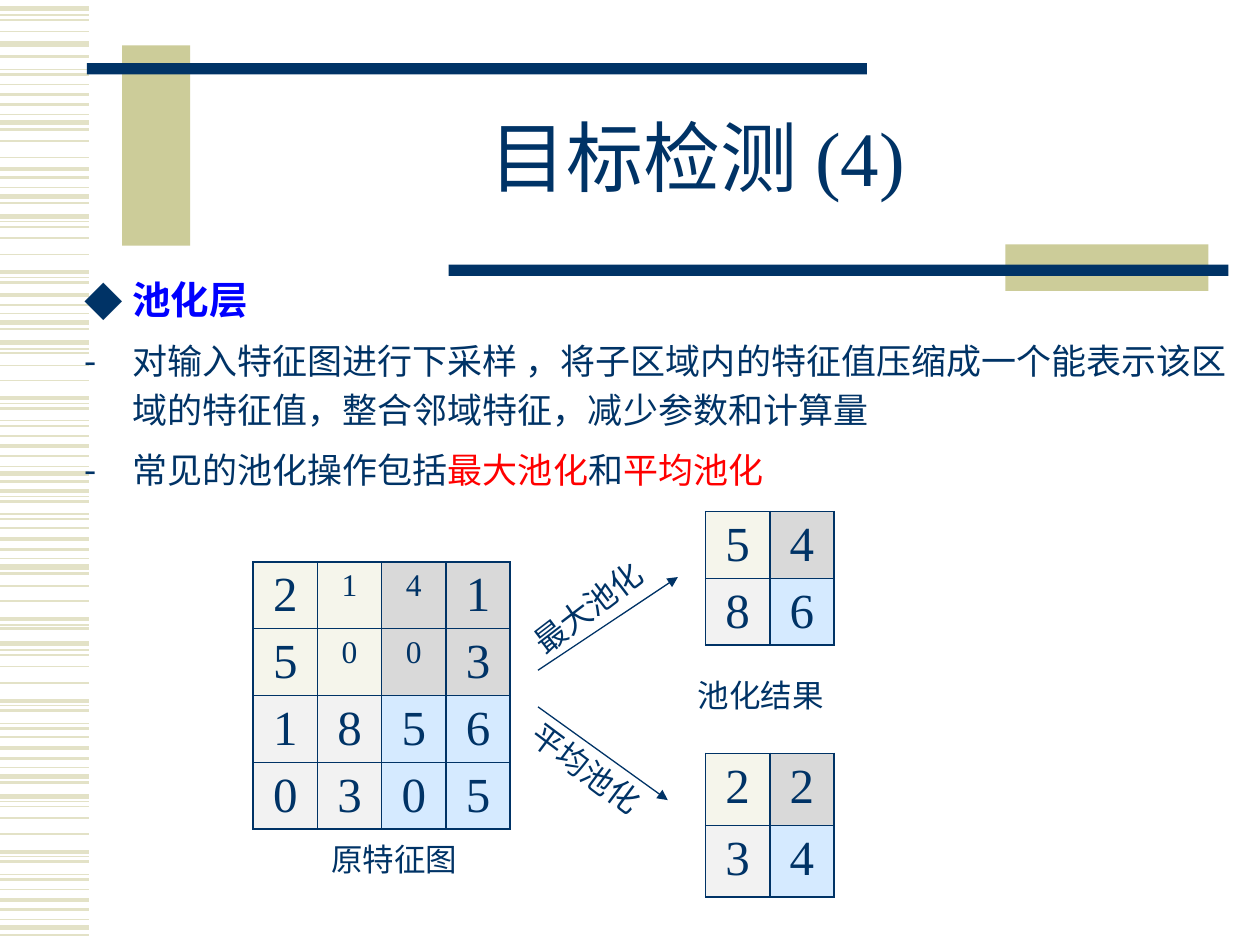
"""Build the slide on pooling layers in object detection."""
from typing import NamedTuple

from lxml.etree import SubElement as sub
from pptx import Presentation as Deck
from pptx.dml.color import RGBColor as Rgb
from pptx.enum.shapes import MSO_CONNECTOR as Link, MSO_SHAPE as Kind
from pptx.enum.text import MSO_ANCHOR as Anchor, PP_ALIGN as Align
from pptx.oxml.ns import qn
from pptx.util import Emu, Pt

UNIT = 9144
SERIF = "Times New Roman"
SANS = "Noto Sans CJK SC"
HUES = {
    "navy": "003366", "sand": "CCCC99", "stripe": "E3E2C7",
    "blue": "0000FF", "red": "FF0000",
    "cream": "F5F5EB", "gray": "D9D9D9", "pale": "F2F2F2", "sky": "D5EAFF",
}
BLOCKS = (("cream", "gray"), ("pale", "sky"))
STRIPES = {
    0.75: (12, 55, 91, 149, 176, 220, 249, 277, 320, 334, 370, 394, 408, 443,
           496, 516, 560, 574, 609, 636, 680, 694, 730),
    1: (16, 25, 67, 112, 125, 180, 189, 202, 280, 290, 302, 346, 419, 465,
        477, 520, 529, 542, 585, 640, 649, 662, 706),
    1.5: (45, 59, 83, 103, 141, 161, 224, 242, 261, 324, 338, 362, 382, 398,
          412, 436, 455, 499, 564, 578, 602, 621, 684, 698, 722, 742),
    2.25: (75, 134, 216, 234, 316, 354, 390, 428, 491, 556, 594, 676, 714),
    3: (7, 35, 97, 156, 172, 256, 272, 376, 450, 511, 616, 632, 736),
}


class Box(NamedTuple):
    x: int
    y: int
    w: int
    h: int


class Bar(NamedTuple):
    box: Box
    hue: str


class Run(NamedTuple):
    text: str
    size: int
    hue: str = "navy"
    font: str = SERIF
    bold: bool = False


class Item(NamedTuple):
    mark: str
    face: str
    runs: tuple
    lead: float | Pt
    gap: int


class Label(NamedTuple):
    text: str
    box: Box
    turn: float = 0


class Arrow(NamedTuple):
    start: tuple
    end: tuple


class Grid(NamedTuple):
    x: int
    y: int
    row: int
    data: tuple
    small: tuple = ()


BARS = (
    Bar(Box(97, 36, 54, 159), "sand"), Bar(Box(69, 50, 619, 9), "navy"),
    Bar(Box(798, 194, 161, 37), "sand"), Bar(Box(356, 210, 619, 9), "navy"),
)
ITEMS = (
    Item("◆", SANS, (Run("池化层", 22, "blue", bold=True),), 0.9, 0),
    Item("-", SERIF, (Run("对输入特征图进行下采样 ，将子区域内的特征值压缩成一个能表示该区域的"
                          "特征值，整合邻域特征，减少参数和计算量", 20, font=SANS),), Pt(28), 6),
    Item("-", SERIF, (Run("常见的池化操作包括", 20, font=SANS),
                      Run("最大池化", 20, "red", SANS),
                      Run("和", 20, font=SANS),
                      Run("平均池化", 20, "red", SANS)), Pt(28), 6),
)
GRIDS = (
    Grid(201, 446, 53, ("2141", "5003", "1856", "0305"),
         ((0, 1), (0, 2), (1, 1), (1, 2))),
    Grid(560, 406, 53, ("54", "86")),
    Grid(560, 598, 57, ("22", "34")),
)
ARROWS = (Arrow((427, 532), (538, 458)), Arrow((427, 561), (530, 635)))
LABELS = (
    Label("最大池化", Box(404, 455, 144, 40), 322.6),
    Label("平均池化", Box(403, 597, 144, 40), 36.9),
    Label("原特征图", Box(253, 662, 144, 40)),
    Label("池化结果", Box(544, 532, 144, 40)),
)


def px(n: int) -> Emu:
    return Emu(n * UNIT)


def rgb(hue: str) -> Rgb:
    return Rgb.from_string(HUES[hue])


def place(box: Box) -> tuple:
    return tuple(px(n) for n in box)


def add_run(para, run: Run) -> None:
    part = para.add_run()
    part.text = run.text
    font = part.font
    font.size, font.bold, font.name = Pt(run.size), run.bold, run.font
    font.color.rgb = rgb(run.hue)
    sub(part._r.get_or_add_rPr(), qn("a:ea"), typeface=SANS)


def add_line(slide, start: tuple, end: tuple, hue: str, width: float,
             head: bool = False) -> None:
    line = slide.shapes.add_connector(
        Link.STRAIGHT, *(px(n) for n in (*start, *end)))
    line.line.color.rgb = rgb(hue)
    line.line.width = Pt(width)
    props = line._element.spPr
    if head:
        sub(props.find(qn("a:ln")), qn("a:tailEnd"), type="triangle")
    sub(props, qn("a:effectLst"))


def add_bar(slide, bar: Bar) -> None:
    shape = slide.shapes.add_shape(Kind.RECTANGLE, *place(bar.box))
    shape.shadow.inherit = False
    shape.fill.solid()
    shape.fill.fore_color.rgb = rgb(bar.hue)
    shape.line.fill.background()


def set_title(slide, run: Run, box: Box) -> None:
    title = slide.shapes.title
    title.left, title.top, title.width, title.height = place(box)
    title.text_frame.vertical_anchor = Anchor.MIDDLE
    para = title.text_frame.paragraphs[0]
    para.alignment = Align.CENTER
    para.line_spacing = 0.85
    add_run(para, run)


def add_list(slide, items: tuple, box: Box) -> None:
    frame = slide.shapes.add_textbox(*place(box)).text_frame
    frame.word_wrap = True
    frame.margin_left = frame.margin_right = 0
    for i, item in enumerate(items):
        para = frame.add_paragraph() if i else frame.paragraphs[0]
        para.line_spacing = item.lead
        para.space_before = Pt(item.gap)
        props = para._p.get_or_add_pPr()
        props.set("marL", str(px(38)))
        props.set("indent", str(-px(38)))
        tint = sub(props, qn("a:buClr"))
        sub(tint, qn("a:srgbClr"), val=HUES["navy"])
        sub(props, qn("a:buFont"), typeface=item.face)
        sub(props, qn("a:buChar"), char=item.mark)
        for run in item.runs:
            add_run(para, run)


def add_label(slide, label: Label) -> None:
    shape = slide.shapes.add_textbox(*place(label.box))
    shape.rotation = label.turn
    shape.text_frame.word_wrap = True
    add_run(shape.text_frame.paragraphs[0], Run(label.text, 18))


def edge_cell(cell) -> None:
    props = cell._tc.get_or_add_tcPr()
    for i, side in enumerate(("lnL", "lnR", "lnT", "lnB")):
        edge = props.makeelement(qn(f"a:{side}"), {"w": str(Pt(1))})
        sub(sub(edge, qn("a:solidFill")), qn("a:srgbClr"), val=HUES["navy"])
        props.insert(i, edge)


def add_grid(slide, grid: Grid) -> None:
    count = len(grid.data)
    box = Box(grid.x, grid.y, 51 * count, grid.row * count)
    table = slide.shapes.add_table(count, count, *place(box)).table
    table.first_row = table.horz_banding = False
    for r, row in enumerate(grid.data):
        for c, digit in enumerate(row):
            cell = table.cell(r, c)
            cell.margin_bottom = px(1)
            cell.fill.solid()
            cell.fill.fore_color.rgb = rgb(BLOCKS[2 * r // count][2 * c // count])
            edge_cell(cell)
            para = cell.text_frame.paragraphs[0]
            para.alignment = Align.CENTER
            add_run(para, Run(digit, 18 if (r, c) in grid.small else 28))


def main() -> None:
    deck = Deck()
    deck.slide_width, deck.slide_height = px(1000), px(750)
    slide = deck.slides.add_slide(deck.slide_layouts[5])
    for width, rows in STRIPES.items():
        for y in rows:
            add_line(slide, (0, y), (71, y), "stripe", width)
    for bar in BARS:
        add_bar(slide, bar)
    set_title(slide, Run("目标检测 (4)", 44), Box(150, 67, 807, 125))
    add_list(slide, ITEMS, Box(67, 218, 933, 491))
    for grid in GRIDS:
        add_grid(slide, grid)
    for arrow in ARROWS:
        add_line(slide, arrow.start, arrow.end, "navy", 0.75, True)
    for label in LABELS:
        add_label(slide, label)
    deck.save("out.pptx")


if __name__ == "__main__":
    main()
